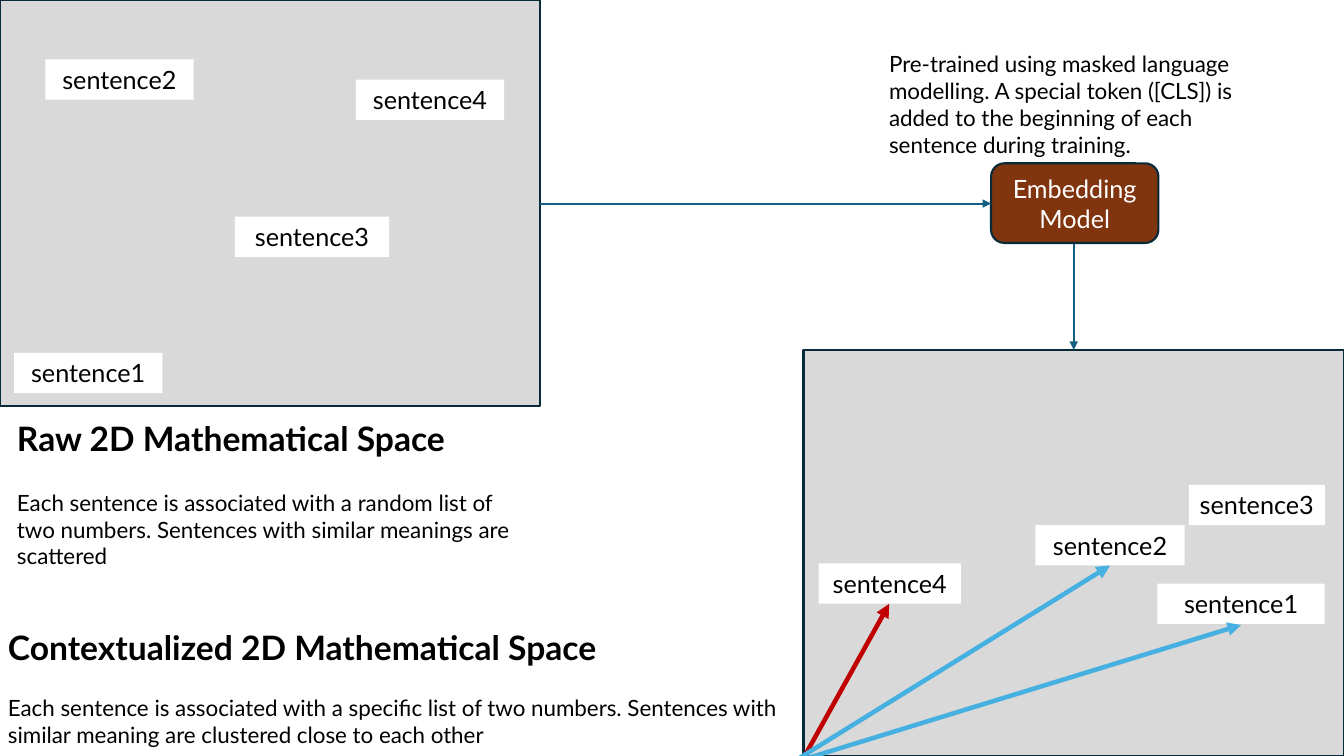
import pptx
import pptx.util
import pptx.dml.color
import pptx.enum.shapes
import pptx.enum.text
import pptx.oxml.ns
import lxml.etree

Inches = pptx.util.Inches
Pt = pptx.util.Pt
RGBColor = pptx.dml.color.RGBColor
Shape = pptx.enum.shapes.MSO_SHAPE
Link = pptx.enum.shapes.MSO_CONNECTOR
Align = pptx.enum.text.PP_ALIGN
Anchor = pptx.enum.text.MSO_ANCHOR
Fit = pptx.enum.text.MSO_AUTO_SIZE

BLACK = RGBColor(0x00, 0x00, 0x00)
WHITE = RGBColor(0xFF, 0xFF, 0xFF)
GREY = RGBColor(0xD9, 0xD9, 0xD9)
NAVY = RGBColor(0x09, 0x2A, 0x39)
BROWN = RGBColor(0x80, 0x35, 0x0E)
TEAL = RGBColor(0x15, 0x60, 0x82)
RED = RGBColor(0xC0, 0x00, 0x00)
SKY = RGBColor(0x46, 0xB1, 0xE1)


class Board:
    font = "Lato"

    def __init__(self, slide):
        self.slide = slide

    def add_run(self, para, text, size, color=BLACK, bold=False):
        run = para.add_run()
        run.text = text
        run.font.name = self.font
        run.font.size = Pt(size)
        run.font.bold = bold
        run.font.color.rgb = color

    def block(self, kind, left, top, width, height, fill, line=None):
        shape = self.slide.shapes.add_shape(
            kind, Inches(left), Inches(top), Inches(width), Inches(height))
        shape.shadow.inherit = False
        shape.fill.solid()
        shape.fill.fore_color.rgb = fill
        if line is None:
            shape.line.fill.background()
        else:
            shape.line.color.rgb = line
            shape.line.width = Pt(1.5)
        return shape

    def space(self, left, top):
        self.block(Shape.RECTANGLE, left, top, 5.36, 4.03, GREY, NAVY)

    def label(self, text, left, top, width):
        shape = self.block(Shape.RECTANGLE, left, top, width, 0.4, WHITE)
        frame = shape.text_frame
        frame.auto_size = Fit.SHAPE_TO_FIT_TEXT
        frame.vertical_anchor = Anchor.TOP
        para = frame.paragraphs[0]
        para.alignment = Align.CENTER
        self.add_run(para, text, 18)

    def model(self, text, left, top, width, height):
        shape = self.block(Shape.ROUNDED_RECTANGLE, left, top, width, height,
                           BROWN, NAVY)
        shape.text_frame.vertical_anchor = Anchor.MIDDLE
        para = shape.text_frame.paragraphs[0]
        para.alignment = Align.CENTER
        self.add_run(para, text, 18, WHITE)

    def note(self, left, top, width, height, text, title=None, gap=0):
        box = self.slide.shapes.add_textbox(
            Inches(left), Inches(top), Inches(width), Inches(height))
        frame = box.text_frame
        frame.word_wrap = True
        frame.auto_size = Fit.SHAPE_TO_FIT_TEXT
        para = frame.paragraphs[0]
        if title:
            self.add_run(para, title, 24, bold=True)
            para = frame.add_paragraph()
            para.space_before = Pt(gap)
        self.add_run(para, text, 16)

    def arrow(self, kind, start, end, color, width):
        link = self.slide.shapes.add_connector(
            kind, *(Inches(v) for v in start + end))
        link.line.color.rgb = color
        link.line.width = Pt(width)
        qn = pptx.oxml.ns.qn
        props = link._element.spPr
        tail = lxml.etree.SubElement(props.find(qn("a:ln")), qn("a:tailEnd"))
        tail.set("type", "triangle")
        lxml.etree.SubElement(props, qn("a:effectLst"))


def main():
    deck = pptx.Presentation()
    deck.slide_width = Inches(13.33)
    deck.slide_height = Inches(7.5)
    board = Board(deck.slides.add_slide(deck.slide_layouts[6]))

    # Raw space and contextualized space
    board.space(0, 0)
    board.space(7.97, 3.47)
    for label in (
        ("sentence2", 0.45, 0.59, 1.47),
        ("sentence4", 3.53, 0.79, 1.47),
        ("sentence3", 2.33, 2.15, 1.53),
        ("sentence1", 0.14, 3.5, 1.47),
        ("sentence4", 8.12, 5.59, 1.41),
        ("sentence3", 11.79, 4.81, 1.35),
        ("sentence1", 11.48, 5.79, 1.66),
        ("sentence2", 10.27, 5.21, 1.48),
    ):
        board.label(*label)

    # Embedding model and its note
    board.model("Embedding Model", 9.83, 1.62, 1.66, 0.79)
    board.note(8.72, 0.45, 3.86, 1.18,
               "Pre-trained using masked language modelling. A special token "
               "([CLS]) is added to the beginning of each sentence during training.")

    # Flow through the model
    board.arrow(Link.CURVE, (5.36, 2.02), (9.83, 2.02), TEAL, 1.5)
    board.arrow(Link.CURVE, (10.65, 2.42), (10.65, 3.47), TEAL, 1.5)

    # Sentence vectors
    board.arrow(Link.STRAIGHT, (7.97, 7.52), (8.82, 5.99), RED, 3.25)
    board.arrow(Link.STRAIGHT, (7.93, 7.52), (11.01, 5.61), SKY, 3.25)
    board.arrow(Link.STRAIGHT, (7.95, 7.54), (12.31, 6.2), SKY, 3.25)

    # Captions
    board.note(0.07, 4.1, 5.29, 1.62,
               "Each sentence is associated with a random list of two numbers. "
               "Sentences with similar meanings are scattered",
               "Raw 2D Mathematical Space", 21.6)
    board.note(-0.02, 6.17, 7.98, 1.31,
               "Each sentence is associated with a specific list of two numbers. "
               "Sentences with similar meaning are clustered close to each other",
               "Contextualized 2D Mathematical Space", 19.2)

    deck.save("out.pptx")


if __name__ == "__main__":
    main()
